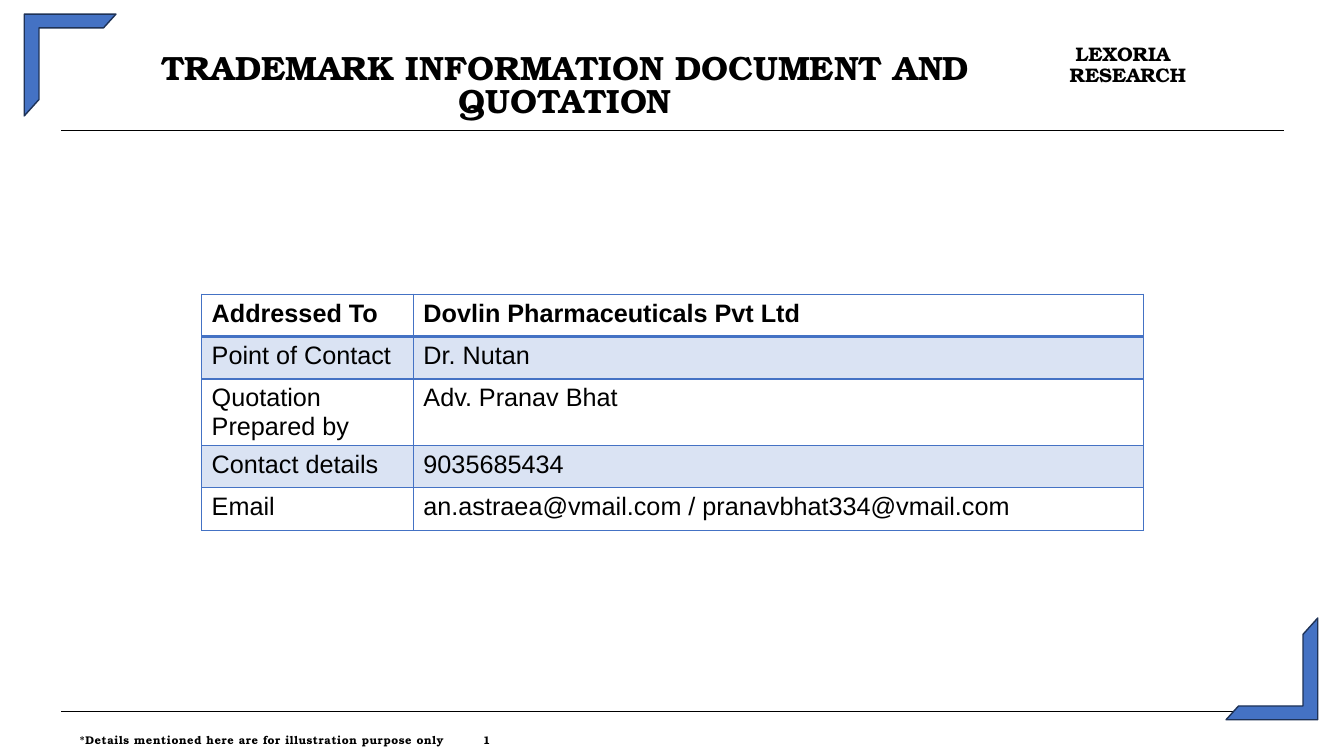
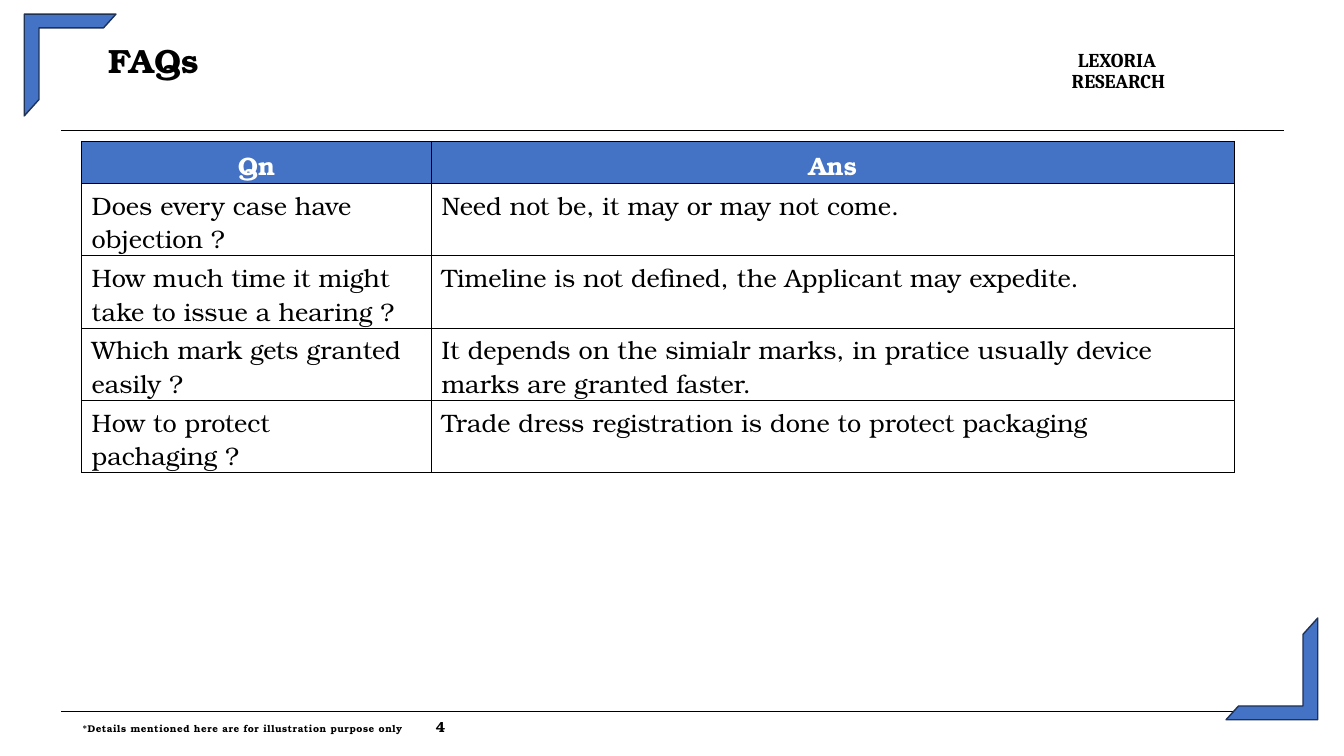
from dataclasses import dataclass

from lxml import etree
from pptx import Presentation
from pptx.dml.color import RGBColor
from pptx.enum import shapes, text
from pptx.oxml.ns import qn
from pptx.util import Inches, Pt


@dataclass(frozen=True)
class Theme:
    ink: str = "000000"
    white: str = "FFFFFF"
    blue: str = "4472C4"
    navy: str = "1E3256"
    pale: str = "DAE3F3"
    serif: str = "TeX Gyre Bonum"
    sans: str = "Arial"
    book: str = "Cambria"
    title: float = 24
    body: float = 18
    brand: float = 14
    rule: float = 0.48


T = Theme()
LEFT, RIGHT = 0.61, 12.73


# Text helpers
def color(hexa):
    return RGBColor.from_string(hexa)


def style(para, size, face=T.serif, ink=T.ink, bold=True, gap=0):
    for run in para.runs:
        font = run.font
        font.size, font.name, font.bold = Pt(size), face, bold
        font.color.rgb = color(ink)
        if gap:
            run._r.get_or_add_rPr().set("spc", str(round(gap * 100)))


def indent(para, left, first=0):
    props = para._p.get_or_add_pPr()
    props.set("marL", str(Inches(left)))
    props.set("indent", str(Inches(first)))


def set_frame(shape, words):
    frame = shape.text_frame
    frame.word_wrap = True
    frame.auto_size = text.MSO_AUTO_SIZE.NONE
    frame.vertical_anchor = text.MSO_ANCHOR.TOP
    frame.margin_left = frame.margin_right = 0
    frame.margin_top = frame.margin_bottom = 0
    frame.text = words
    return frame.paragraphs[0]


def add_text(slide, box, words):
    return set_frame(slide.shapes.add_textbox(*map(Inches, box)), words)


# Shared parts of each slide
def add_title(slide, box, words, align, spacing):
    shape = slide.shapes.title
    shape.left, shape.top, shape.width, shape.height = map(Inches, box)
    para = set_frame(shape, words)
    para.alignment, para.line_spacing = align, spacing
    style(para, T.title)


def add_rule(slide, y):
    line = slide.shapes.add_connector(
        shapes.MSO_CONNECTOR.STRAIGHT,
        Inches(LEFT), Inches(y), Inches(RIGHT), Inches(y))
    line.line.color.rgb = color(T.ink)
    line.line.width = Pt(T.rule)
    etree.SubElement(line._element.spPr, qn("a:effectLst"))


def add_corner(slide, left, top, turn):
    frame = slide.shapes.add_shape(
        shapes.MSO_SHAPE.HALF_FRAME,
        Inches(left), Inches(top), Inches(0.91), Inches(1.01))
    frame.adjustments[0], frame.adjustments[1] = 0.15, 0.161
    frame.rotation = turn
    frame.shadow.inherit = False
    frame.fill.solid()
    frame.fill.fore_color.rgb = color(T.blue)
    frame.line.color.rgb = color(T.navy)
    frame.line.width = Pt(1)


def add_brand(slide, left, top, face):
    para = add_text(slide, (left, top, 1.2, 0.43), "LEXORIA RESEARCH")
    indent(para, 0.01, 0.06)
    para.line_spacing = 0.87
    style(para, T.brand, face)


def add_foot(slide, left, top, page, note_size, page_size):
    note = "*Details mentioned here are for illustration purpose only\t"
    para = add_text(slide, (left, top, 11.92, 0.18), note)
    indent(para, 0.01)
    tabs = etree.SubElement(para._p.get_or_add_pPr(), qn("a:tabLst"))
    etree.SubElement(tabs, qn("a:tab"), pos=str(Inches(11.02)), algn="l")
    para.line_spacing = 0.84
    style(para, note_size, gap=0.4)
    run = para.add_run()
    run.text = page
    style(para, note_size, gap=0.4)
    run.font.size = Pt(page_size)


def add_base(deck):
    slide = deck.slides.add_slide(deck.slide_layouts[5])
    for y in (1.29, 7.06):
        add_rule(slide, y)
    add_corner(slide, 0.24, 0.14, 0)
    add_corner(slide, 12.16, 6.13, 180)
    return slide


# Tables
def add_edge(cell, side, ink, width):
    line = etree.SubElement(cell._tc.get_or_add_tcPr(), qn("a:" + side),
                            w=str(Pt(width)))
    fill = etree.SubElement(line, qn("a:solidFill"))
    etree.SubElement(fill, qn("a:srgbClr"), val=ink)


def add_grid(slide, left, top, cols, tall, rows, ink, width, head, paint):
    """Draw rows; paint(cell, row) fills a cell and sets its text."""
    grid = slide.shapes.add_table(
        len(rows), len(cols), Inches(left), Inches(top),
        Inches(sum(cols)), Inches(sum(tall))).table
    grid.first_row = grid.horz_banding = False
    for col, size in zip(grid.columns, cols):
        col.width = Inches(size)
    for r, (line, size) in enumerate(zip(rows, tall)):
        grid.rows[r].height = Inches(size)
        for c, words in enumerate(line):
            cell = grid.cell(r, c)
            cell.text = words
            for side in ("lnL", "lnR", "lnT", "lnB"):
                thick = (r, side) in ((0, "lnB"), (1, "lnT"))
                add_edge(cell, side, ink, head if thick else width)
            paint(cell, r)


def set_fill(cell, ink):
    if ink:
        cell.fill.solid()
        cell.fill.fore_color.rgb = color(ink)
    else:
        cell.fill.background()


def paint_quote(cell, row):
    set_fill(cell, T.pale if row % 2 else None)
    style(cell.text_frame.paragraphs[0], T.body, T.sans, bold=row == 0)


def paint_faq(cell, row):
    head = row == 0
    set_fill(cell, T.blue if head else None)
    cell.margin_bottom = 0
    para = cell.text_frame.paragraphs[0]
    if head:
        para.alignment = text.PP_ALIGN.CENTER
    style(para, T.body, ink=T.white if head else T.ink, bold=head)


# Slides
def add_quote(deck):
    slide = add_base(deck)
    add_title(slide, (0.65, 0.54, 9.91, 0.7),
              "TRADEMARK INFORMATION DOCUMENT AND QUOTATION",
              text.PP_ALIGN.CENTER, 0.82)
    add_brand(slide, 10.6, 0.45, T.serif)
    rows = [
        ("Addressed To", "Dovlin Pharmaceuticals Pvt Ltd"),
        ("Point of Contact", "Dr. Nutan"),
        ("Quotation Prepared by", "Adv. Pranav Bhat"),
        ("Contact details", "9035685434"),
        ("Email", "an.astraea@vmail.com / pranavbhat334@vmail.com"),
    ]
    add_grid(slide, 2, 2.92, (2.1, 7.24), (0.42, 0.42, 0.66, 0.42, 0.42),
             rows, T.blue, 1, 2, paint_quote)
    add_foot(slide, 0.78, 7.3, "1", 8, 8)


def add_faq(deck):
    slide = add_base(deck)
    add_title(slide, (1.08, 0.48, 9, 0.6), "FAQs", text.PP_ALIGN.LEFT, 0.79)
    add_brand(slide, 10.62, 0.51, T.book)
    rows = [
        ("Qn", "Ans"),
        ("Does every case have objection ?",
         "Need not be, it may or may not come."),
        ("How much time it might take to issue a hearing ?",
         "Timeline is not defined, the Applicant may expedite."),
        ("Which mark gets granted easily ?",
         "It depends on the simialr marks, in pratice usually device "
         "marks are granted faster."),
        ("How to protect pachaging ?",
         "Trade dress registration is done to protect packaging"),
    ]
    add_grid(slide, 0.81, 1.4, (3.47, 7.96), [0.42] + [0.7] * 4,
             rows, T.ink, 0.5, 0.5, paint_faq)
    add_foot(slide, 0.81, 7.15, "4", 7, 10.5)


def main():
    deck = Presentation()
    deck.slide_width, deck.slide_height = Inches(13.33), Inches(7.5)
    add_quote(deck)
    add_faq(deck)
    deck.save("out.pptx")


if __name__ == "__main__":
    main()
